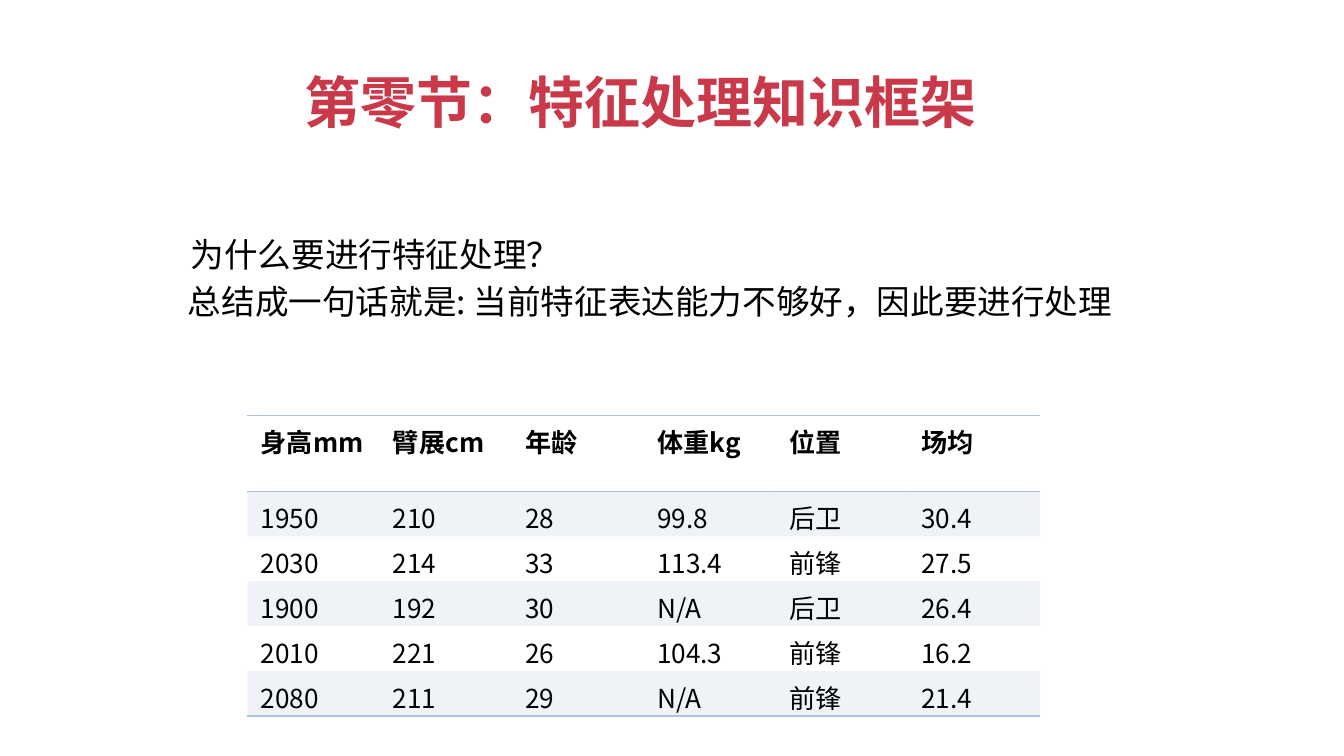
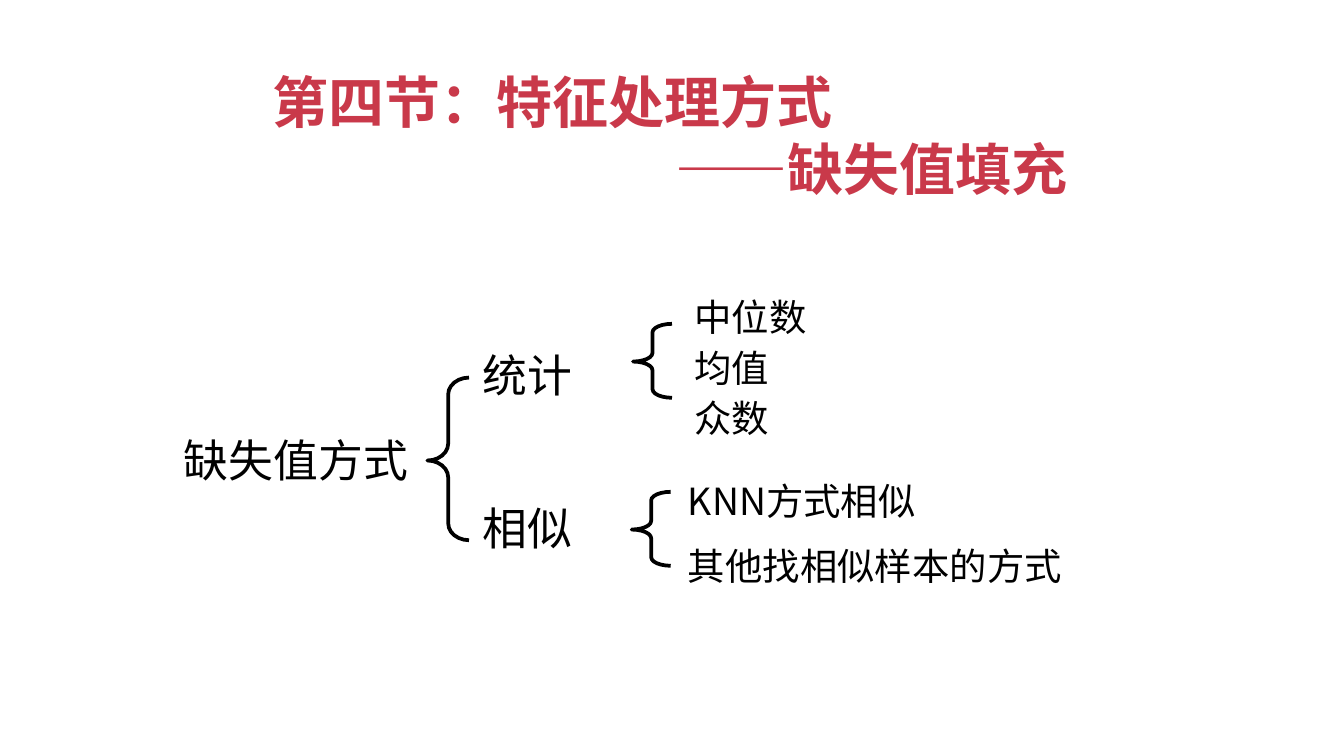
from lxml import etree
from pptx import Presentation
from pptx import util as u
from pptx.dml.color import RGBColor
from pptx.enum import shapes, text
from pptx.oxml.ns import qn

FONT = "Noto Sans CJK SC"
RED = RGBColor(0xC9, 0x39, 0x4A)
BLACK = RGBColor(0x00, 0x00, 0x00)
STEEL = RGBColor(0xB2, 0xC1, 0xDB)
PLAIN_TABLE = "{2D5ABB26-0587-4C30-8999-92F81FD0307C}"
BAND_ALPHA = 20

PLAYER_ROWS = [
    ["身高mm", "臂展cm", "年龄", "体重kg", "位置", "场均"],
    ["1950", "210", "28", "99.8", "后卫", "30.4"],
    ["2030", "214", "33", "113.4", "前锋", "27.5"],
    ["1900", "192", "30", "N/A", "后卫", "26.4"],
    ["2010", "221", "26", "104.3", "前锋", "16.2"],
    ["2080", "211", "29", "N/A", "前锋", "21.4"],
]


class Deck:
    """Holds the presentation, the shared style and the current slide."""

    def __init__(self):
        self.prs = Presentation()
        self.prs.slide_width = u.Inches(10)
        self.prs.slide_height = u.Inches(10 * 9 / 16)
        self.slide = None

    def new_slide(self):
        self.slide = self.prs.slides.add_slide(self.prs.slide_layouts[6])

    def run(self, paragraph, words, size, color=BLACK, bold=False):
        run = paragraph.add_run()
        run.text = words
        font = run.font
        font.name, font.size, font.bold = FONT, u.Pt(size), bold
        font.color.rgb = color
        east_asian = etree.SubElement(font._element, qn("a:ea"))
        east_asian.set("typeface", FONT)

    def label(self, words, left, top, width, height, size, wrap=False):
        self.lines([(words, 0)], left, top, width, height, size, wrap=wrap)

    def title(self, lines, left, width, height):
        self.lines(lines, left, 0.45, width, height, 30, RED, True)

    def lines(self, lines, left, top, width, height, size,
              color=BLACK, bold=False, wrap=False):
        """Text box with one paragraph for each (words, level) pair."""
        box = self.slide.shapes.add_textbox(
            u.Inches(left), u.Inches(top), u.Inches(width), u.Inches(height))
        frame = box.text_frame
        frame.word_wrap = wrap
        frame.auto_size = text.MSO_AUTO_SIZE.SHAPE_TO_FIT_TEXT
        for index, (words, level) in enumerate(lines):
            paragraph = frame.add_paragraph() if index else frame.paragraphs[0]
            paragraph.level = level
            self.run(paragraph, words, size, color, bold)

    def brace(self, left, top, width, height, curl):
        brace = self.slide.shapes.add_shape(
            shapes.MSO_SHAPE.LEFT_BRACE,
            u.Inches(left), u.Inches(top), u.Inches(width), u.Inches(height))
        brace.shadow.inherit = False
        brace.fill.background()
        brace.line.color.rgb = BLACK
        brace.line.width = u.Pt(2)
        brace.adjustments[0] = curl
        brace.adjustments[1] = 0.51

    def table(self, rows, left, top, width, height, row_height):
        """Ruled table with a bold header and every other body row tinted."""
        frame = self.slide.shapes.add_table(
            len(rows), len(rows[0]),
            u.Inches(left), u.Inches(top), u.Inches(width), u.Inches(height))
        table = frame.table
        table.first_row = table.horz_banding = False
        frame._element.find(".//" + qn("a:tableStyleId")).text = PLAIN_TABLE
        last = len(rows) - 1
        for r, values in enumerate(rows):
            table.rows[r].height = u.Inches(row_height)
            edges = {0: ["lnT", "lnB"], last: ["lnB"]}.get(r, [])
            for c, value in enumerate(values):
                cell = table.cell(r, c)
                self.run(cell.text_frame.paragraphs[0], value, 14, bold=r == 0)
                self.tint(cell, r % 2 == 1)
                self.rule(cell, edges)
        frame.height = u.Inches(height)

    def tint(self, cell, banded):
        if not banded:
            cell.fill.background()
            return
        cell.fill.solid()
        cell.fill.fore_color.rgb = STEEL
        color = cell._tc.tcPr.find(".//" + qn("a:srgbClr"))
        etree.SubElement(color, qn("a:alpha")).set("val", str(BAND_ALPHA * 1000))

    def rule(self, cell, edges):
        """Border lines go before the fill in the cell properties."""
        for index, edge in enumerate(edges):
            line = etree.Element(qn("a:" + edge), w=str(int(u.Pt(1))))
            fill = etree.SubElement(line, qn("a:solidFill"))
            etree.SubElement(fill, qn("a:srgbClr")).set("val", str(STEEL))
            cell._tc.tcPr.insert(index, line)


def framework_slide(deck):
    deck.new_slide()
    deck.title([("第零节：特征处理知识框架", 0)], 2.17, 5.25, 0.61)
    deck.label("为什么要进行特征处理？", 1.32, 1.69, 2.98, 0.4, 18)
    deck.label("总结成一句话就是: 当前特征表达能力不够好，因此要进行处理",
               1.3, 2.04, 7.15, 0.4, 18, wrap=True)
    deck.table(PLAYER_ROWS, 1.84, 3.09, 5.9, 2, 0.31)


def missing_values_slide(deck):
    deck.new_slide()
    deck.title([("第四节：特征处理方式", 0), ("——缺失值填充", 6)], 1.93, 6.24, 1.11)

    deck.label("缺失值方式", 1.27, 3.17, 1.88, 0.5, 24)
    deck.brace(3.18, 2.81, 0.31, 1.21, 0.405)
    for method, top in [("统计", 2.54), ("相似", 3.68)]:
        deck.label(method, 3.49, top, 0.88, 0.5, 24)

    for left, top in [(4.71, 2.41), (4.7, 3.66)]:
        deck.brace(left, top, 0.29, 0.55, 0.221)
    for choice, left, top, width in [
        ("中位数", 5.07, 2.14, 1.04),
        ("均值", 5.07, 2.52, 0.76),
        ("众数", 5.07, 2.89, 0.76),
        ("KNN方式相似", 5.02, 3.51, 1.96),
        ("其他找相似样本的方式", 5.02, 3.99, 3.01),
    ]:
        deck.label(choice, left, top, width, 0.44, 20)


def main():
    deck = Deck()
    framework_slide(deck)
    missing_values_slide(deck)
    deck.prs.save("out.pptx")


if __name__ == "__main__":
    main()
